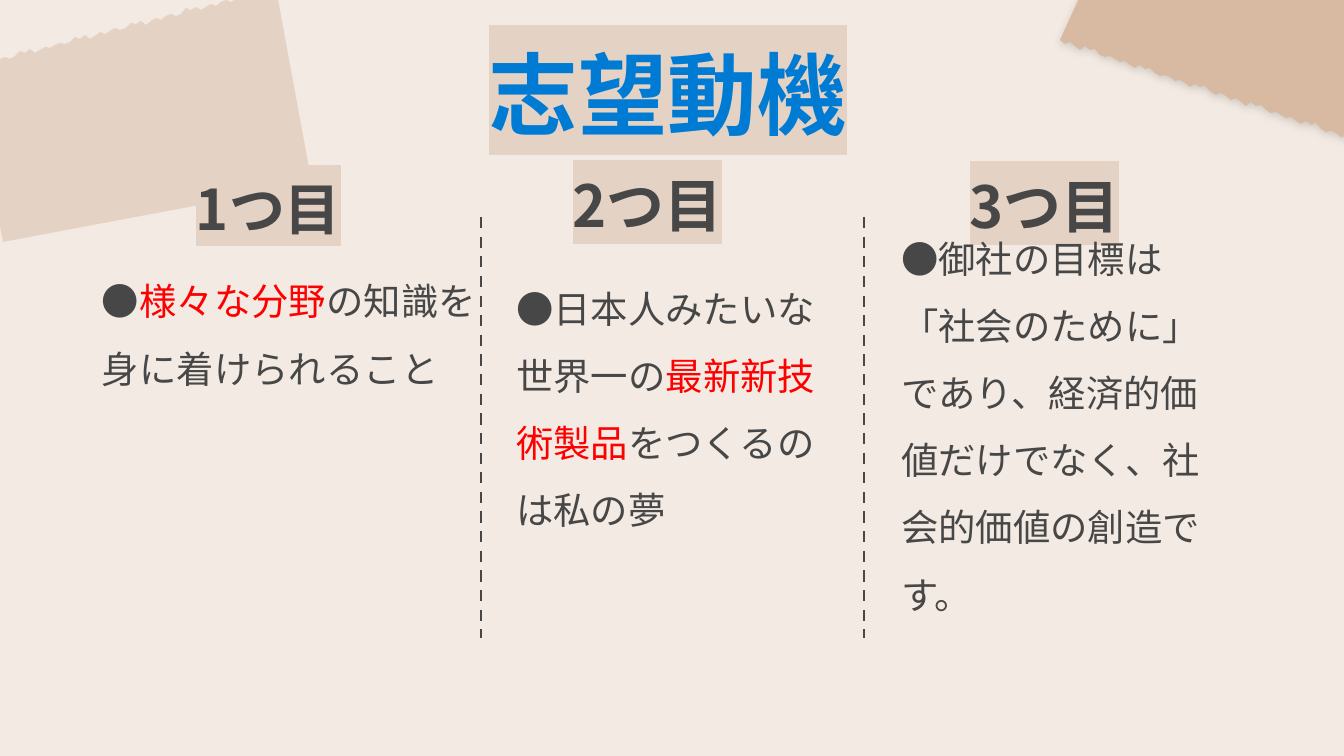
"""Build a slide with three numbered reasons for applying, framed by torn paper."""
from itertools import cycle

from lxml import etree
from pptx import Presentation, util as u
from pptx.dml.color import RGBColor
from pptx.enum import dml, shapes, text
from pptx.oxml import ns

PX = 914400 / 134.4
FONT = "Noto Sans CJK JP"
CREAM = RGBColor(0xF3, 0xEB, 0xE3)
SAND = RGBColor(0xE4, 0xD3, 0xC5)
TAN = RGBColor(0xD8, 0xBA, 0xA3)
INK = RGBColor(0x47, 0x47, 0x47)
RED = RGBColor(0xFF, 0x00, 0x00)
BLUE = RGBColor(0x00, 0x7B, 0xD3)
NAVY = RGBColor(0x03, 0x43, 0x73)
TITLE_GRADIENT = (BLUE, NAVY)

MARGIN = 13
BODY_SIZE = 20
BODY_SPACING = 1.5
BODY_LINE = 67
TEAR_STEP = 5
TEAR_DEPTHS = (0, 2, -1, 1, 3, -2, 0, -3, 1, 2, -1)


def px(*lengths):
    return [round(length * PX) for length in lengths]


def add_text(box, paragraphs, size, heading=False, bottom=MARGIN):
    frame = slide.shapes.add_textbox(*px(*box)).text_frame
    margin, bottom_margin = px(MARGIN, bottom)
    frame_format = {
        "word_wrap": True,
        "auto_size": text.MSO_AUTO_SIZE.NONE,
        "vertical_anchor": text.MSO_ANCHOR.MIDDLE,
        "margin_left": margin,
        "margin_right": margin,
        "margin_top": margin,
        "margin_bottom": bottom_margin,
    }
    for name, value in frame_format.items():
        setattr(frame, name, value)
    for index, parts in enumerate(paragraphs):
        paragraph = frame.add_paragraph() if index else frame.paragraphs[0]
        paragraph.alignment = text.PP_ALIGN.CENTER if heading else text.PP_ALIGN.LEFT
        paragraph.line_spacing = 1.0 if heading else BODY_SPACING
        for words, color in parts:
            run = paragraph.add_run()
            run.text = words
            if color == TITLE_GRADIENT:
                run.font.fill.gradient()
                run.font.fill.gradient_angle = 0
                for stop, stop_color in zip(run.font.fill.gradient_stops, color):
                    stop.color.rgb = stop_color
            else:
                run.font.color.rgb = color
            properties = run._r.get_or_add_rPr()
            if heading:
                highlight = etree.SubElement(properties, ns.qn("a:highlight"))
                etree.SubElement(highlight, ns.qn("a:srgbClr"), val=str(SAND))
            font_format = {"name": FONT, "size": u.Pt(size), "bold": heading}
            for name, value in font_format.items():
                setattr(run.font, name, value)
            etree.SubElement(properties, ns.qn("a:ea"), typeface=FONT)


presentation = Presentation()
presentation.slide_width, presentation.slide_height = px(1344, 756)
slide = presentation.slides.add_slide(presentation.slide_layouts[6])
slide.background.fill.solid()
slide.background.fill.fore_color.rgb = CREAM

papers = [
    {"color": TAN, "tear": ((1060, 40), (1356, 140)),
     "corners": [(1418, 0), (1136, -126)], "shadow": True},
    {"color": SAND, "tear": ((276, -12), (-30, 67)),
     "corners": [(3, 242), (312, 184)], "shadow": False},
]
for paper in papers:
    (start_x, start_y), (end_x, end_y) = paper["tear"]
    steps = abs(end_x - start_x) // TEAR_STEP
    torn_edge = [
        (start_x + (end_x - start_x) * step / steps,
         start_y + (end_y - start_y) * step / steps + depth)
        for step, depth in zip(range(steps + 1), cycle(TEAR_DEPTHS))
    ]
    builder = slide.shapes.build_freeform(*torn_edge[0], scale=PX)
    builder.add_line_segments(torn_edge[1:] + paper["corners"], close=True)
    shape = builder.convert_to_shape()
    shape.shadow.inherit = False
    shape.fill.solid()
    shape.fill.fore_color.rgb = paper["color"]
    shape.line.fill.background()
    if paper["shadow"]:
        effects = shape._element.spPr.find(ns.qn("a:effectLst"))
        shadow = etree.SubElement(
            effects, ns.qn("a:outerShdw"),
            blurRad=str(u.Pt(4.5)), dist=str(u.Pt(1.5)), dir=str(90 * 60000),
        )
        shadow_color = etree.SubElement(shadow, ns.qn("a:srgbClr"), val=str(INK))
        etree.SubElement(shadow_color, ns.qn("a:alpha"), val=str(20 * 1000))

add_text((101, 60, 1134, 66), [[("志望動機", TITLE_GRADIENT)]], 48, heading=True)

headings = [("1つ目", 91, 178, 30), ("2つ目", 470, 174, 31), ("3つ目", 867, 175, 31)]
for words, left, top, size in headings:
    add_text((left, top, 355, 60), [[(words, INK)]], size, heading=True)

reasons = [
    ((89, 208, 403, 231), MARGIN, [
        [("●", INK), ("様々な分野", RED), ("の知識を身に着けられること", INK)],
    ]),
    ((503, 238, 355, 387), MARGIN + BODY_LINE, [
        [("●日本人みたいな", INK)],
        [("世界一の", INK), ("最新新技術製品", RED), ("をつくるのは私の夢", INK)],
    ]),
    ((888, 271, 355, 355), MARGIN + BODY_LINE, [
        [("●御社の目標は「社会のために」であり、経済的価値だけでなく、社会的価値の創造です。", INK)],
    ]),
]
for box, bottom, paragraphs in reasons:
    add_text(box, paragraphs, BODY_SIZE, bottom=bottom)

for x in (864, 481):
    divider = slide.shapes.add_connector(shapes.MSO_CONNECTOR.STRAIGHT, *px(x, 217, x, 638))
    divider.line.color.rgb = INK
    divider.line.width = u.Pt(1.5)
    divider.line.dash_style = dml.MSO_LINE.DASH
    etree.SubElement(divider._element.spPr, ns.qn("a:effectLst"))

presentation.save("out.pptx")
